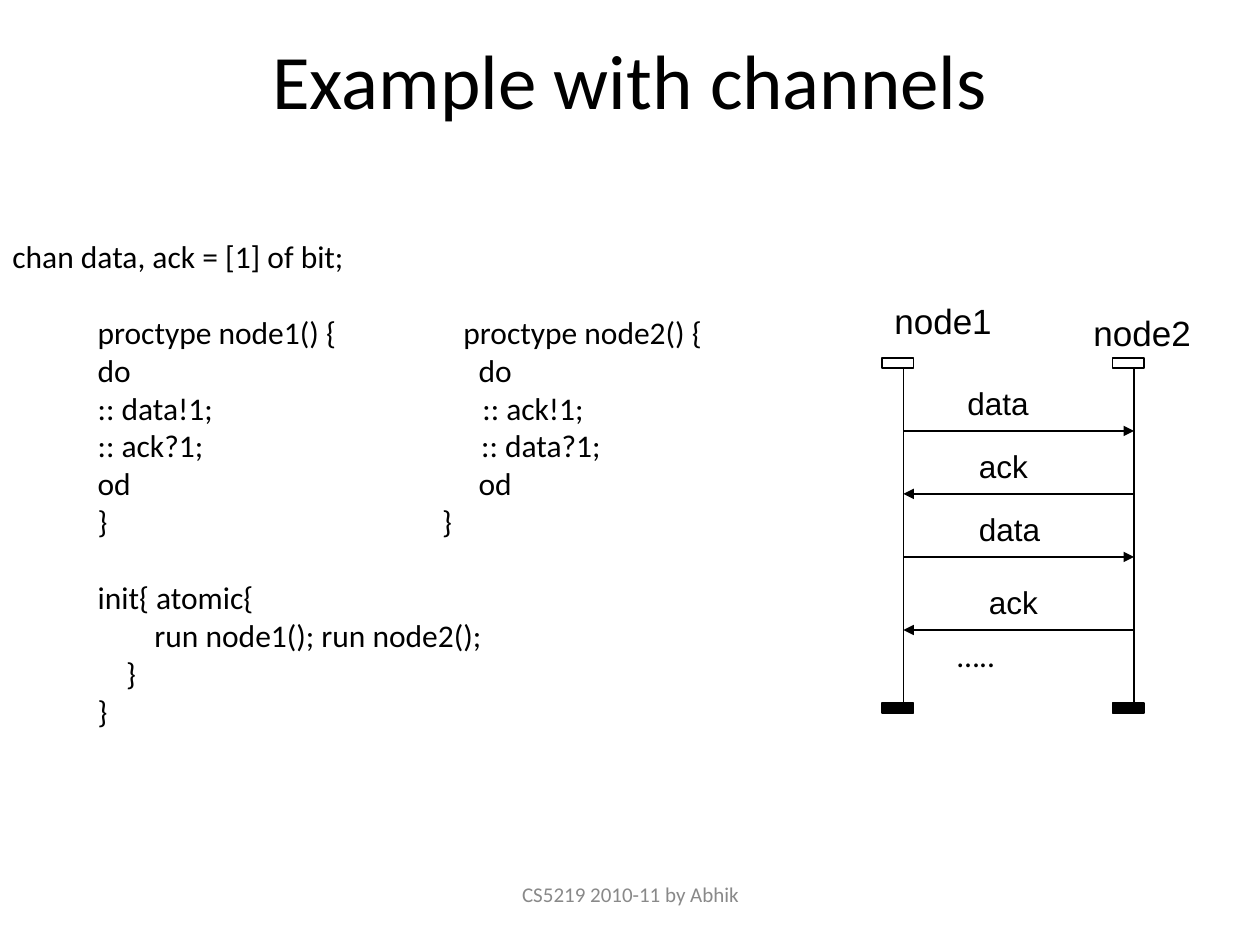
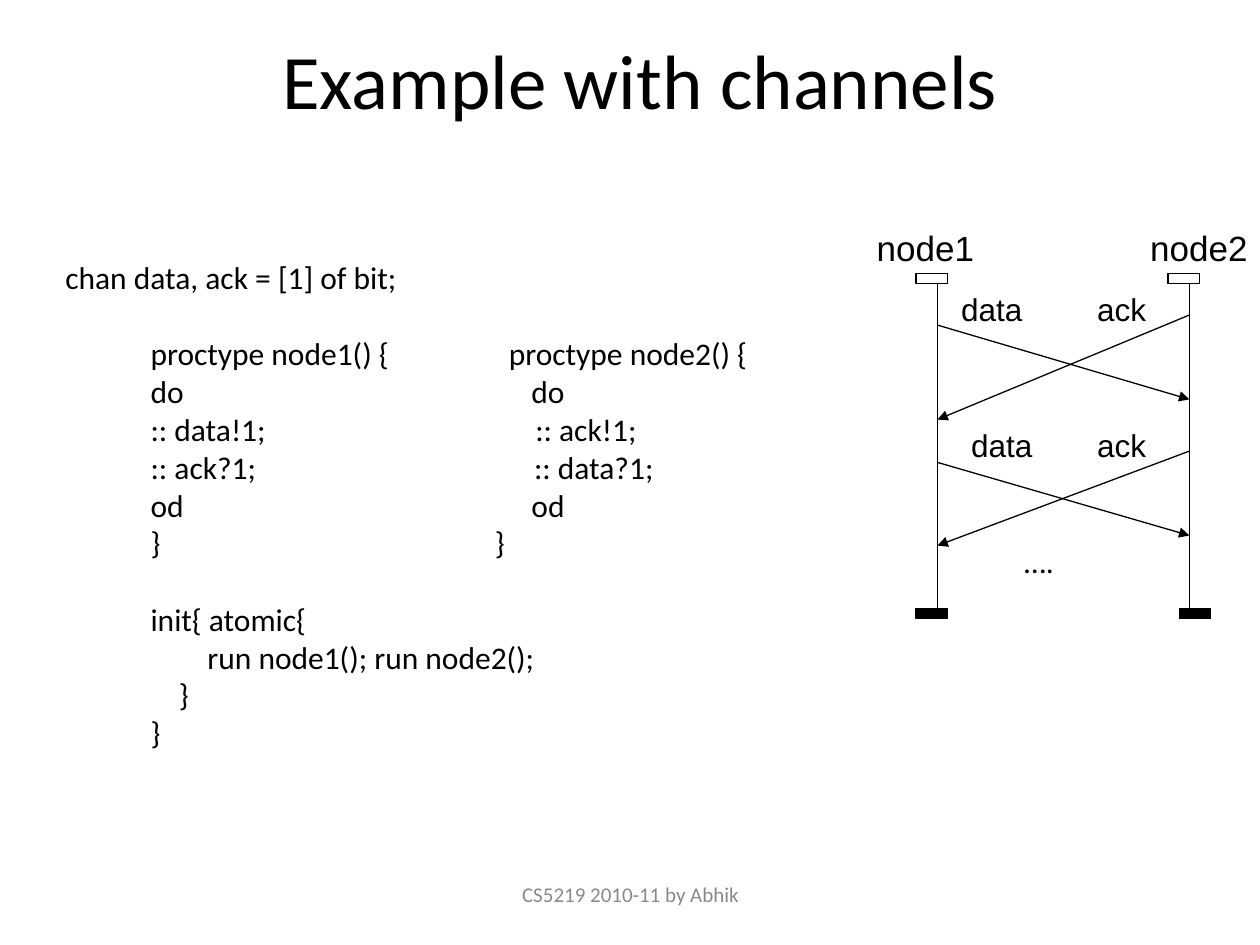
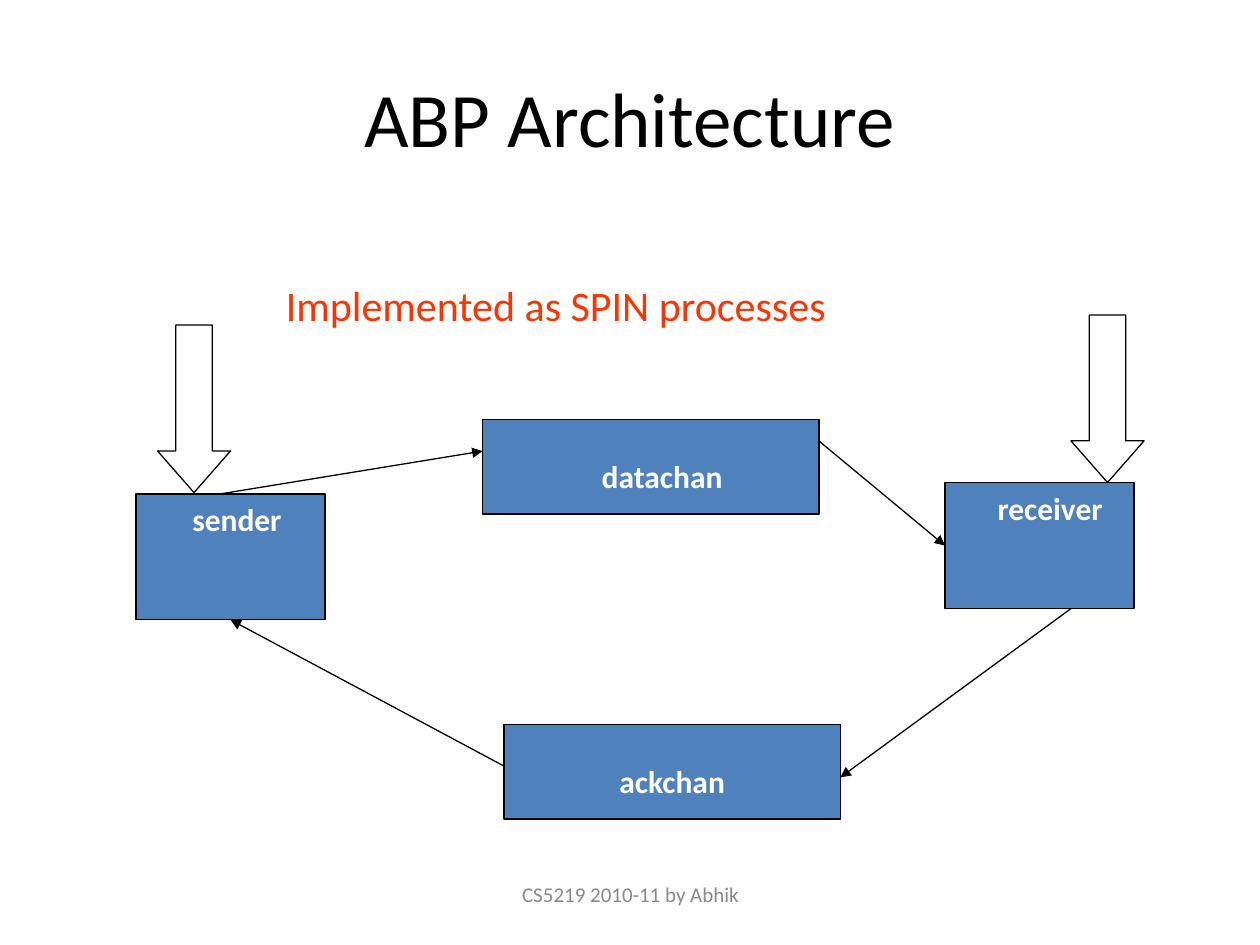
from dataclasses import dataclass

from lxml import etree
from pptx import Presentation
from pptx.dml.color import RGBColor
from pptx.enum.shapes import MSO_CONNECTOR, MSO_SHAPE
from pptx.enum.text import MSO_ANCHOR, PP_ALIGN
from pptx.oxml.ns import qn
from pptx.util import Inches, Pt


@dataclass(frozen=True)
class Theme:
    black: str = "000000"
    white: str = "FFFFFF"
    grey: str = "898989"
    blue: str = "4F81BD"
    red: str = "FF3300"
    text_font: str = "Calibri"
    label_font: str = "Arial"
    title: int = 44
    callout: int = 24
    name: int = 20
    body: int = 18
    footer: int = 12
    line: float = 0.75


T = Theme()
FOOTER = "CS5219 2010-11 by Abhik"
CAP_W, CAP_H = 0.25, 0.08
LINE_HEIGHT = 22
INDENT = " " * 12

# Rows of the two process columns: left code, right code, offset of the right code
PROCESS_ROWS = [
    ("proctype node1() {", "proctype node2() {", 3.58),
    ("do", "do", 3.7),
    (":: data!1;", ":: ack!1;", 3.73),
    (":: ack?1;", ":: data?1;", 3.72),
    ("od", "od", 3.7),
    ("}", "}", 3.41),
]
INIT_ROWS = ["init{ atomic{", "        run node1(); run node2();", "    }", "}"]


def inches(*values):
    return [Inches(v) for v in values]


def style_font(font, size=T.body, name=T.text_font, color=T.black, bold=False):
    for key, value in {"size": Pt(size), "name": name, "bold": bold}.items():
        setattr(font, key, value)
    font.color.rgb = RGBColor.from_string(color)


def add_text(s, box, text, align=PP_ALIGN.LEFT, **font):
    tf = s.shapes.add_textbox(*inches(*box)).text_frame
    tf.word_wrap = True
    p = tf.paragraphs[0]
    p.alignment = align
    r = p.add_run()
    r.text = text
    style_font(r.font, **font)
    return tf


def add_box(s, box, fill=None, kind=MSO_SHAPE.RECTANGLE):
    sp = s.shapes.add_shape(kind, *inches(*box))
    sp.shadow.inherit = False
    if fill:
        sp.fill.solid()
        sp.fill.fore_color.rgb = RGBColor.from_string(fill)
    else:
        sp.fill.background()
    sp.line.color.rgb = RGBColor.from_string(T.black)
    sp.line.width = Pt(T.line)
    return sp


def add_line(s, start, end, arrow=True):
    c = s.shapes.add_connector(MSO_CONNECTOR.STRAIGHT, *inches(*start, *end))
    c.line.color.rgb = RGBColor.from_string(T.black)
    c.line.width = Pt(T.line)
    props = c._element.spPr
    if arrow:
        etree.SubElement(props.find(qn("a:ln")), qn("a:tailEnd"), type="triangle")
    etree.SubElement(props, qn("a:effectLst"))


def add_slide(prs, title, box):
    """Add a slide with the shared title style and footer."""
    s = prs.slides.add_slide(prs.slide_layouts[5])
    sp = s.shapes.title
    for key, value in zip(("left", "top", "width", "height"), inches(*box)):
        setattr(sp, key, value)
    tf = sp.text_frame
    tf.vertical_anchor = MSO_ANCHOR.MIDDLE
    p = tf.paragraphs[0]
    p.alignment = PP_ALIGN.CENTER
    r = p.add_run()
    r.text = title
    style_font(r.font, size=T.title)
    add_text(s, (3.42, 6.95, 3.17, 0.4), FOOTER, PP_ALIGN.CENTER,
             size=T.footer, color=T.grey)
    return s


def add_code_line(tf, text, gap=0, tab=None):
    p = tf.add_paragraph()
    p.space_before = Pt(gap)
    if tab:
        tabs = etree.SubElement(p._p.get_or_add_pPr(), qn("a:tabLst"))
        etree.SubElement(tabs, qn("a:tab"), pos=str(Inches(tab)), algn="l")
    r = p.add_run()
    r.text = INDENT + text
    style_font(r.font)


def add_code(s, box, header_tab):
    tf = add_text(s, box, "chan data, ack = [1] of bit;")
    for i, (left, right, tab) in enumerate(PROCESS_ROWS):
        first = i == 0
        add_code_line(tf, f"{left}\t{right}", LINE_HEIGHT if first else 0,
                      header_tab if first else tab)
    for i, text in enumerate(INIT_ROWS):
        add_code_line(tf, text, 0 if i else LINE_HEIGHT)


def add_sequence(s, box, names, messages, dots, end_caps):
    """Draw two lifelines at the sides of the box with messages between them.

    names: (dx, dy) of each name; messages: (label, sender, start dy, end dy,
    label dx, label dy); dots: (text, dx, dy); end_caps: dx of each lower cap.
    """
    x, y, w, h = box
    sides = (x, x + w)
    for i, side in enumerate(sides):
        add_line(s, (side, y), (side, y + h), arrow=False)
        add_box(s, (side - 0.17, y - CAP_H, CAP_W, CAP_H))
        add_box(s, (side + end_caps[i], y + h, CAP_W, CAP_H), T.black)
        dx, dy = names[i]
        tf = add_text(s, (x + dx, y + dy, 0.97, 0.44), f"node{i + 1}",
                      size=T.name, name=T.label_font)
        tf.margin_right = 0
    for label, sender, start, end, dx, dy in messages:
        add_line(s, (sides[sender], y + start), (sides[1 - sender], y + end))
        add_text(s, (x + dx, y + dy, 0.83, 0.4), label, name=T.label_font)
    text, dx, dy = dots
    add_text(s, (x + dx, y + dy, 1, 0.4), text)


def add_architecture(s, box):
    x, y, w, h = box
    # Name: box, then left offset, top offset and width of its label
    nodes = {
        "sender": ((0, 1.42, 1.5, 1), (0.09, 0, 1.42)),
        "receiver": ((w - 1.5, 1.33, 1.5, 1), (0.17, 0, 1.33)),
        "datachan": ((2.75, 0.83, 2.67, 0.75), (0.34, 0.25, 2.17)),
        "ackchan": ((2.92, h - 0.75, 2.67, 0.75), (0.25, 0.25, 2.17)),
    }
    for name, ((dx, dy, bw, bh), (lx, ly, lw)) in nodes.items():
        add_box(s, (x + dx, y + dy, bw, bh), T.blue)
        add_text(s, (x + dx + lx, y + dy + ly, lw, 0.4), name,
                 PP_ALIGN.CENTER, color=T.white, bold=True)
    links = [
        ((0.67, 1.42), (2.75, 1.08)),
        ((5.42, 1), (6.42, 1.83)),
        ((7.42, 2.33), (5.59, 3.67)),
        ((2.92, 3.58), (0.75, 2.42)),
    ]
    for (x1, y1), (x2, y2) in links:
        add_line(s, (x + x1, y + y1), (x + x2, y + y2))
    for dx, dy in [(0.17, 0.08), (7.42, 0)]:
        sp = add_box(s, (x + dx, y + dy, 0.58, 1.33), kind=MSO_SHAPE.DOWN_ARROW)
        sp.adjustments[0], sp.adjustments[1] = 0.5, 0.57


def ordered_slide(prs):
    s = add_slide(prs, "Example with channels", (0.75, 0, 8.5, 1.25))
    add_code(s, (0, 1.83, 6.92, 4), header_tab=3.58)
    messages = [
        ("data", 0, 0.5, 0.5, 0.41, 0.08),
        ("ack", 1, 1, 1, 0.5, 0.58),
        ("data", 0, 1.5, 1.5, 0.5, 1.08),
        ("ack", 1, 2.08, 2.08, 0.58, 1.66),
    ]
    add_sequence(s, (7.17, 2.92, 1.83, 2.66), [(-0.17, -0.59), (1.41, -0.5)],
                 messages, ("…..", 0.33, 2.08), (-0.17, -0.17))


def crossing_slide(prs):
    s = add_slide(prs, "Example with channels", (0.83, 0, 8.5, 1.25))
    add_code(s, (0.42, 2, 6.83, 4), header_tab=3.52)
    messages = [
        ("data", 0, 0.33, 0.92, 0.09, 0),
        ("ack", 1, 0.25, 1.08, 1.17, 0),
        ("data", 0, 1.42, 2, 0.17, 1.08),
        ("ack", 1, 1.33, 2.08, 1.17, 1.08),
    ]
    add_sequence(s, (7.44, 2.25, 2, 2.58), [(-0.58, -0.5), (1.59, -0.5)],
                 messages, ("….", 0.59, 2), (-0.17, -0.08))


def architecture_slide(prs):
    s = add_slide(prs, "ABP Architecture", (0.5, 0.3, 9, 1.25))
    add_architecture(s, (1.08, 2.5, 7.92, 4))
    add_text(s, (2.17, 2.17, 5.75, 0.5), "Implemented as SPIN processes",
             size=T.callout, color=T.red)


def main():
    prs = Presentation()
    prs.slide_width, prs.slide_height = inches(10, 7.5)
    for build in (ordered_slide, crossing_slide, architecture_slide):
        build(prs)
    prs.save("out.pptx")


if __name__ == "__main__":
    main()
